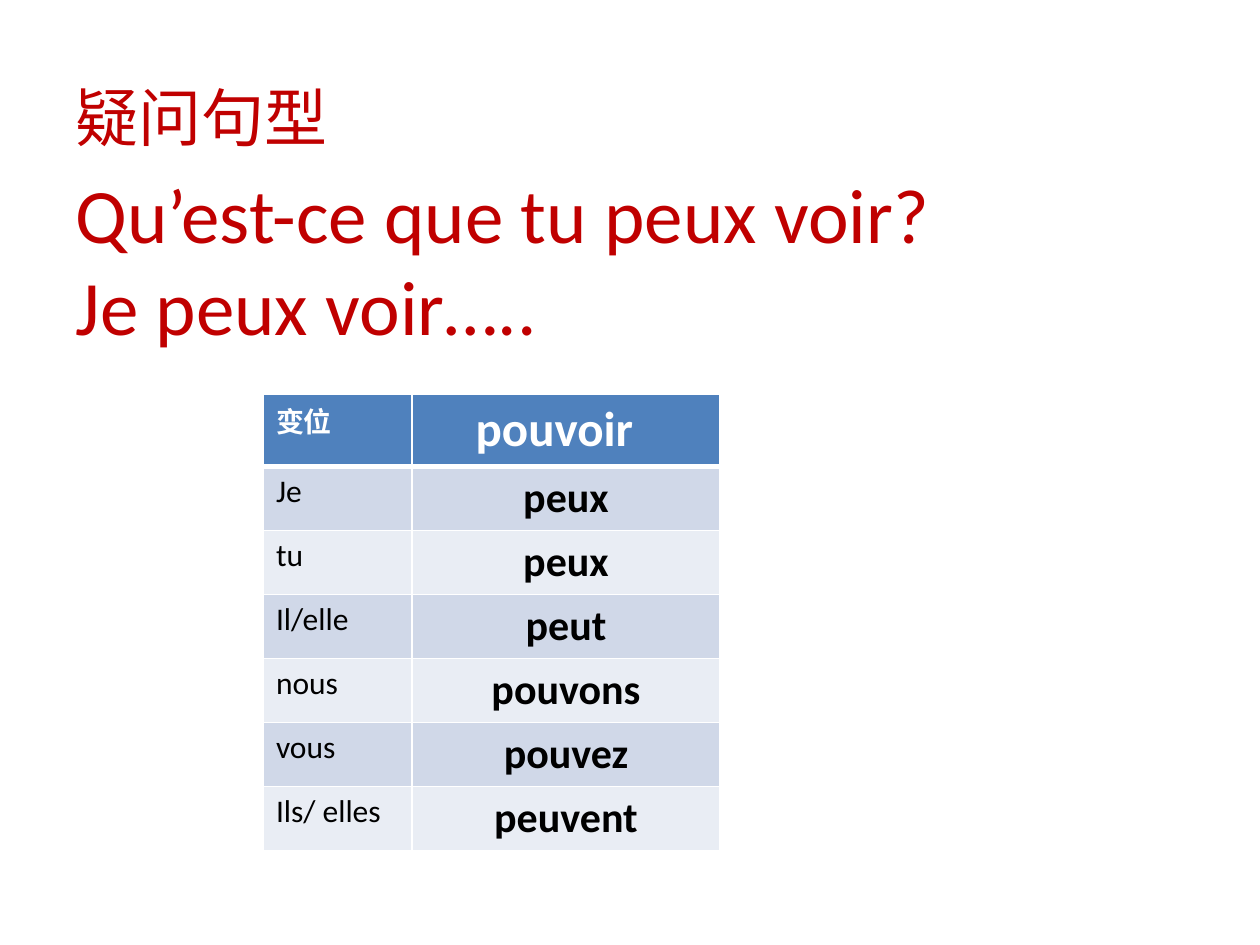
from dataclasses import dataclass
from lxml import etree
from pptx import Presentation
from pptx import util as u
from pptx.dml import color
from pptx.enum import text as t
from pptx.oxml import ns

HUES = {"red": "C00000", "head": "4F81BD", "odd": "D0D8E8",
        "even": "E9EDF4", "white": "FFFFFF", "black": "000000"}
FONT = "Calibri"


@dataclass
class Style:
    size: int
    hue: str
    bold: bool = False
    align: t.PP_ALIGN = t.PP_ALIGN.LEFT


@dataclass
class Verb:
    who: str
    form: str


VERBS = [Verb("Je", "peux"), Verb("tu", "peux"), Verb("Il/elle", "peut"),
         Verb("nous", "pouvons"), Verb("vous", "pouvez"),
         Verb("Ils/ elles", "peuvent")]


def write(frame, words: str, style: Style) -> None:
    frame.text = words
    for para in frame.paragraphs:
        para.alignment = style.align
        font = para.font
        font.name = FONT
        font.size = u.Pt(style.size)
        font.bold = style.bold
        font.color.rgb = color.RGBColor.from_string(HUES[style.hue])


def head(box, words: str, size: int) -> None:
    frame = box.text_frame
    frame.word_wrap = True
    frame.auto_size = t.MSO_AUTO_SIZE.NONE
    frame.vertical_anchor = t.MSO_ANCHOR.MIDDLE
    write(frame, words, Style(size, "red"))


def edge(cell, side: str, width: float) -> None:
    props = cell._tc.get_or_add_tcPr()
    line = etree.SubElement(props, ns.qn(f"a:ln{side}"), w=str(u.Pt(width)))
    fill = etree.SubElement(line, ns.qn("a:solidFill"))
    etree.SubElement(fill, ns.qn("a:srgbClr"), val=HUES["white"])


def paint(cell, words: str, style: Style, fill: str, top: int, base: int) -> None:
    for side, width in zip("LRTB", (1, 1, top, base)):
        edge(cell, side, width)
    cell.fill.solid()
    cell.fill.fore_color.rgb = color.RGBColor.from_string(HUES[fill])
    write(cell.text_frame, words, style)


def chart(slide) -> None:
    grid = slide.shapes.add_table(
        len(VERBS) + 1, 2, u.Cm(5.31), u.Cm(7.94), u.Cm(9.2), u.Cm(9.17)).table
    for col, wide in zip(grid.columns, (3, 6.2)):
        col.width = u.Cm(wide)
    for i, row in enumerate(grid.rows):
        row.height = u.Cm(1.29 if i else 1.43)

    paint(grid.cell(0, 0), "变位", Style(16, "white", True), "head", 1, 3)
    paint(grid.cell(0, 1), "pouvoir", Style(28, "white", True), "head", 1, 3)
    grid.cell(0, 1).margin_left = u.Cm(1.28)

    who = Style(18, "black")
    form = Style(24, "black", True, t.PP_ALIGN.CENTER)
    for i, verb in enumerate(VERBS, 1):
        fill = "odd" if i % 2 else "even"
        top = 3 if i == 1 else 1
        paint(grid.cell(i, 0), verb.who, who, fill, top, 1)
        paint(grid.cell(i, 1), verb.form, form, fill, top, 1)


def main() -> None:
    deck = Presentation()
    deck.slide_width, deck.slide_height = u.Cm(25.4), u.Cm(19.05)
    slide = deck.slides.add_slide(deck.slide_layouts[5])

    title = slide.shapes.title
    title.left, title.top = u.Cm(1.27), u.Cm(2.92)
    title.width, title.height = u.Cm(22.86), u.Cm(4.6)
    head(title, "Qu’est-ce que tu peux voir?\vJe peux voir…..", 44)

    chart(slide)

    label = slide.shapes.add_textbox(
        u.Cm(1.27), u.Cm(0.76), u.Cm(22.86), u.Cm(3.18))
    head(label, "疑问句型", 36)
    deck.save("out.pptx")


if __name__ == "__main__":
    main()
